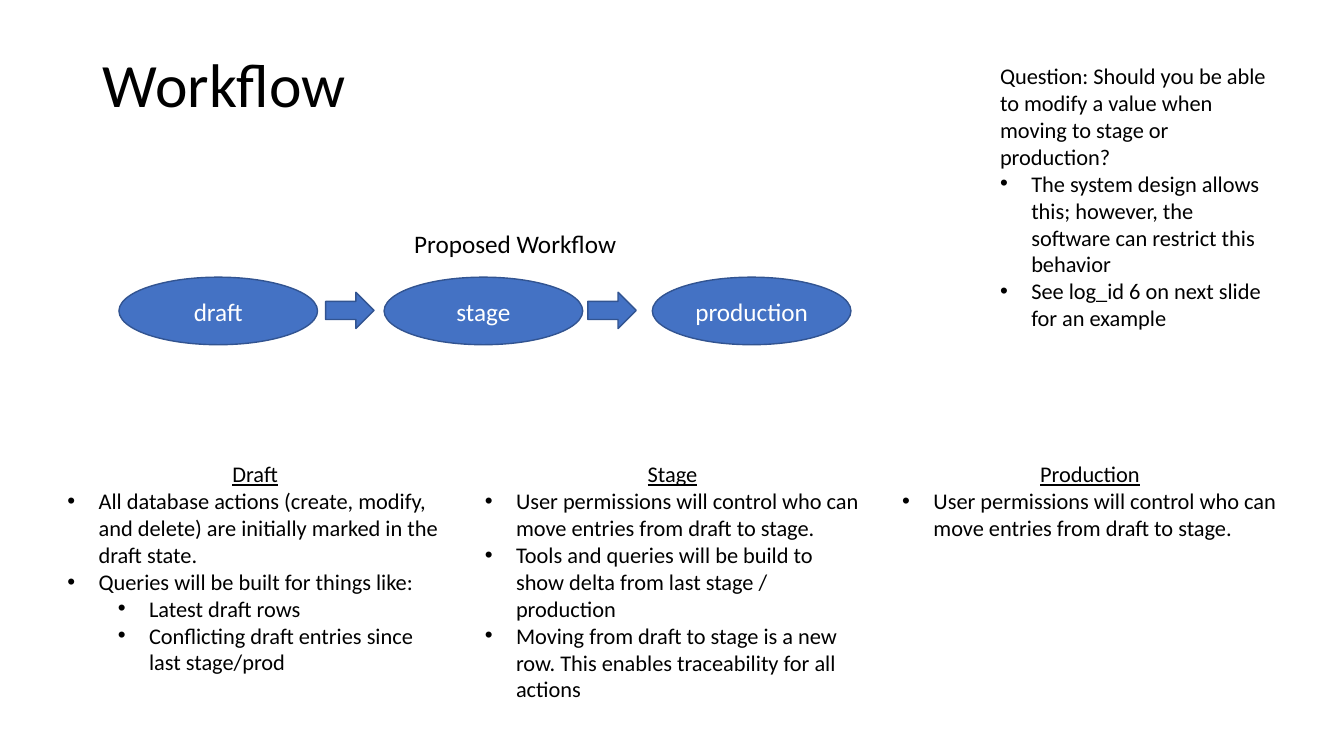
"""Build the Workflow slide: three proposed states, their notes and an open question."""
from lxml.etree import SubElement
from pptx import Presentation
from pptx.dml.color import RGBColor
from pptx.enum.shapes import MSO_SHAPE
from pptx.enum.text import MSO_ANCHOR, MSO_AUTO_SIZE, PP_ALIGN
from pptx.oxml.ns import qn
from pptx.util import Inches, Pt

BLACK = RGBColor(0x00, 0x00, 0x00)
WHITE = RGBColor(0xFF, 0xFF, 0xFF)
BLUE = RGBColor(0x44, 0x72, 0xC4)
DARK_BLUE = RGBColor(0x32, 0x54, 0x91)

STATES = [(1.18, "draft"), (3.81, "stage"), (6.47, "production")]
ARROW_LEFTS = [3.23, 5.83]
PERMISSIONS = "User permissions will control who can move entries from draft to stage."
STATE_NOTES = [
    ("Draft", 2.26, [
        (0, "All database actions (create, modify, and delete) are initially marked in the draft state."),
        (0, "Queries will be built for things like:"),
        (1, "Latest draft rows"),
        (1, "Conflicting draft entries since last stage/prod"),
    ]),
    ("Stage", 2.52, [
        (0, PERMISSIONS),
        (0, "Tools and queries will be build to show delta from last stage / production"),
        (0, "Moving from draft to stage is a new row. This enables traceability for all actions"),
    ]),
    ("Production", 0.91, [(0, PERMISSIONS)]),
]
QUESTION = "Question: Should you be able to modify a value when moving to stage or production?"
ANSWERS = [
    (0, "The system design allows this; however, the software can restrict this behavior"),
    (0, "See log_id 6 on next slide for an example"),
]


def write(paragraph, text, size, color=BLACK):
    paragraph.text = text
    font = paragraph.runs[0].font
    font.name = "Calibri"
    font.size = Pt(size)
    font.color.rgb = color
    return font


def add_notes(left, top, width, height, heading, bullets):
    notes = slide.shapes.add_textbox(Inches(left), Inches(top), Inches(width), Inches(height))
    frame = notes.text_frame
    frame.word_wrap = True
    frame.auto_size = MSO_AUTO_SIZE.SHAPE_TO_FIT_TEXT
    write(frame.paragraphs[0], heading, 16)
    for level, text in bullets:
        bullet = frame.add_paragraph()
        write(bullet, text, 16)
        bullet.level = level
        properties = bullet._p.get_or_add_pPr()
        properties.set("marL", str(Inches(0.31 + 0.5 * level)))
        properties.set("indent", str(Inches(-0.31)))
        SubElement(properties, qn("a:buFont")).set("typeface", "Arial")
        SubElement(properties, qn("a:buChar")).set("char", "•")
    return frame.paragraphs[0]


presentation = Presentation()
presentation.slide_width = Inches(13.33)
presentation.slide_height = Inches(7.5)
slide = presentation.slides.add_slide(presentation.slide_layouts[5])

title = slide.shapes.title
title.left, title.top = Inches(0.92), Inches(0.4)
title.width, title.height = Inches(11.5), Inches(0.94)
title.text_frame.vertical_anchor = MSO_ANCHOR.MIDDLE
heading = title.text_frame.paragraphs[0]
write(heading, "Workflow", 44)
heading.alignment = PP_ALIGN.LEFT
heading.line_spacing = 0.9

flow = []
for left, state in STATES:
    oval = slide.shapes.add_shape(
        MSO_SHAPE.OVAL, Inches(left), Inches(2.75), Inches(1.97), Inches(0.67))
    oval.text_frame.vertical_anchor = MSO_ANCHOR.MIDDLE
    label = oval.text_frame.paragraphs[0]
    write(label, state, 18, WHITE)
    label.alignment = PP_ALIGN.CENTER
    flow.append(oval)
for left in ARROW_LEFTS:
    flow.append(slide.shapes.add_shape(
        MSO_SHAPE.RIGHT_ARROW, Inches(left), Inches(2.9), Inches(0.48), Inches(0.36)))
for step in flow:
    step.shadow.inherit = False
    step.fill.solid()
    step.fill.fore_color.rgb = BLUE
    step.line.color.rgb = DARK_BLUE
    step.line.width = Pt(1)

caption = slide.shapes.add_textbox(Inches(4.01), Inches(2.22), Inches(2.23), Inches(0.4))
caption.text_frame.word_wrap = False
caption.text_frame.auto_size = MSO_AUTO_SIZE.SHAPE_TO_FIT_TEXT
write(caption.text_frame.paragraphs[0], "Proposed Workflow", 18)

for column, (state, height, bullets) in enumerate(STATE_NOTES):
    state_heading = add_notes(0.57 + 4.14 * column, 4.52, 3.92, height, state, bullets)
    state_heading.alignment = PP_ALIGN.CENTER
    state_heading.runs[0].font.underline = True

add_notes(9.82, 0.57, 2.89, 2.79, QUESTION, ANSWERS)

presentation.save("out.pptx")
